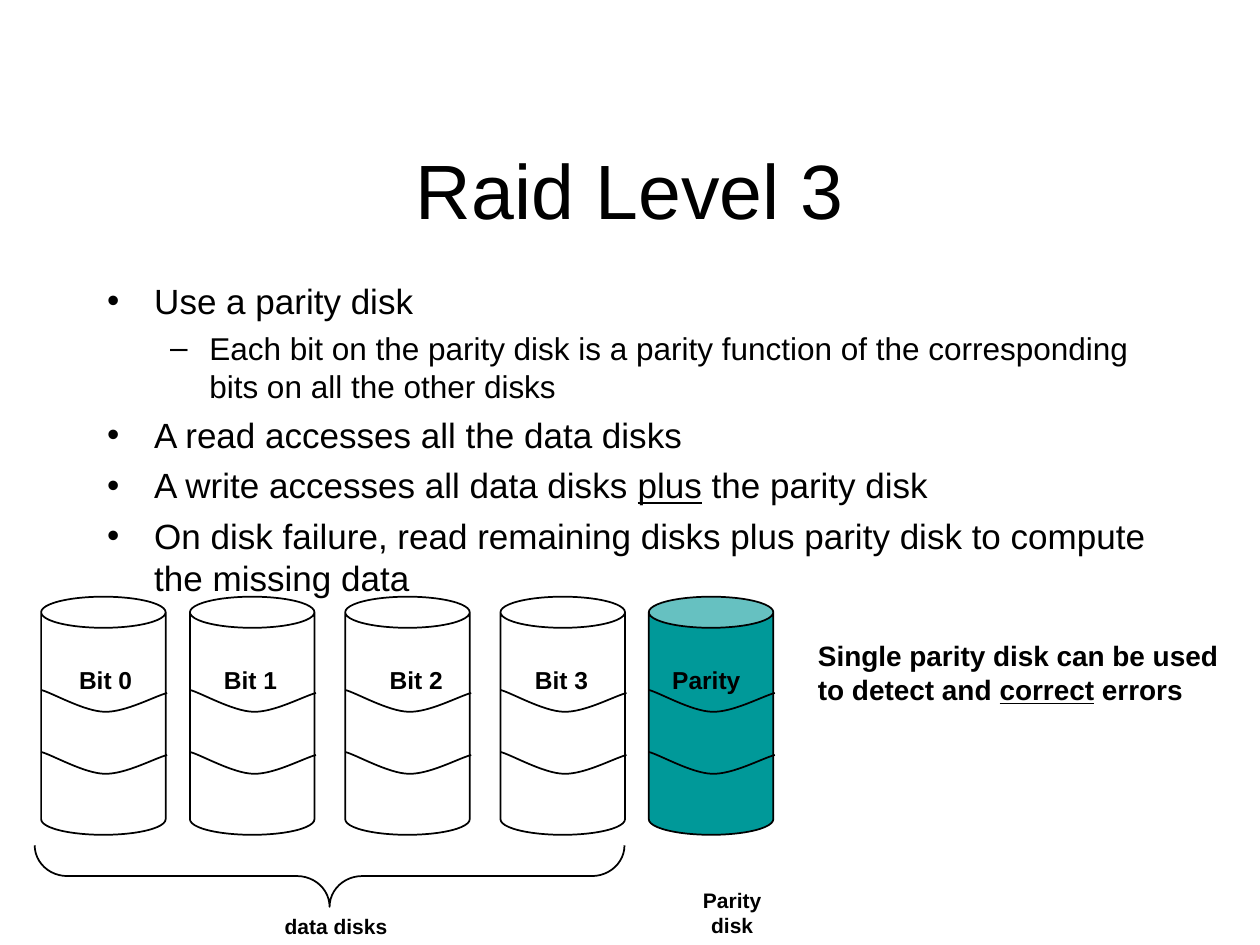
from lxml import etree
from pptx import Presentation
from pptx.dml.color import RGBColor
from pptx.enum.shapes import MSO_SHAPE
from pptx.enum.text import MSO_ANCHOR, MSO_AUTO_SIZE, PP_ALIGN
from pptx.oxml.ns import qn
from pptx.util import Cm, Pt

BLACK = RGBColor(0, 0, 0)
TEAL = RGBColor(0, 0x99, 0x99)
CAN, BRACE = MSO_SHAPE.CAN, MSO_SHAPE.LEFT_BRACE
LEFT, MID = PP_ALIGN.LEFT, PP_ALIGN.CENTER
TOP, LOW = MSO_ANCHOR.TOP, MSO_ANCHOR.BOTTOM
GROW, FIXED = MSO_AUTO_SIZE.SHAPE_TO_FIT_TEXT, MSO_AUTO_SIZE.NONE

LEVELS = [
    {"mark": "•", "size": 20, "gap": 5, "left": 0.95, "hang": 0.95},
    {"mark": "–", "size": 18, "gap": 4.5, "left": 2.06, "hang": 0.79},
]
POINTS = [
    (0, ["Use a parity disk"]),
    (1, ["Each bit on the parity disk is a parity function of the "
         "corresponding bits on all the other disks"]),
    (0, ["A read accesses all the data disks"]),
    (0, ["A write accesses all data disks ", "plus", " the parity disk"]),
    (0, ["On disk failure, read remaining disks plus parity disk to compute "
         "the missing data"]),
]
DISKS = [
    ("Bit 0", 0.83, 1.3, None),
    ("Bit 1", 3.83, 1.22, None),
    ("Bit 2", 6.96, 1.43, None),
    ("Bit 3", 10.09, 1.23, None),
    ("Parity", 13.08, 1.16, TEAL),
]
WAVE = [(0, 0), (0.21, 0.05), (0.86, 0.43), (1.28, 0.44),
        (1.7, 0.45), (2.28, 0.13), (2.54, 0.06)]


def add_runs(para, parts, size, bold=False):
    """Write the parts as runs, underlining every second one."""
    for i, part in enumerate(parts):
        run = para.add_run()
        run.text = part
        form = {"name": "Arial", "size": Pt(size), "bold": bold,
                "underline": i % 2 == 1}
        for key, value in form.items():
            setattr(run.font, key, value)
        run.font.color.rgb = BLACK


def add_text(slide, box, lines, size, bold=False, align=MID, anchor=TOP, wrap=False):
    """Add a text box with one paragraph for each line of parts."""
    frame = slide.shapes.add_textbox(*map(Cm, box)).text_frame
    form = {"word_wrap": wrap, "vertical_anchor": anchor,
            "auto_size": FIXED if wrap else GROW}
    for key, value in form.items():
        setattr(frame, key, value)
    for i, parts in enumerate(lines):
        para = frame.add_paragraph() if i else frame.paragraphs[0]
        para.alignment = align
        add_runs(para, parts, size, bold)


def add_points(slide, box):
    """Add the bulleted list in the box."""
    frame = slide.shapes.add_textbox(*map(Cm, box)).text_frame
    frame.word_wrap = True
    for i, (depth, parts) in enumerate(POINTS):
        para = frame.add_paragraph() if i else frame.paragraphs[0]
        form = LEVELS[depth]
        props = para._p.get_or_add_pPr()
        props.set("marL", str(Cm(form["left"])))
        props.set("indent", str(-Cm(form["hang"])))
        etree.SubElement(props, qn("a:buFont")).set("typeface", "Arial")
        etree.SubElement(props, qn("a:buChar")).set("char", form["mark"])
        para.level = depth
        if i:
            para.space_before = Pt(form["gap"])
        add_runs(para, parts, form["size"])


def style(shape, fill=None):
    """Give the shape a thin black outline and an optional fill."""
    shape.shadow.inherit = False
    shape.line.color.rgb = BLACK
    shape.line.width = Pt(1)
    if fill is None:
        shape.fill.background()
    else:
        shape.fill.solid()
        shape.fill.fore_color.rgb = fill


def bend(shape):
    """Turn each three line segments of a freeform into one cubic curve."""
    lines = list(shape._element.iter(qn("a:lnTo")))
    for i in range(0, len(lines), 3):
        curve = etree.Element(qn("a:cubicBezTo"))
        lines[i].addprevious(curve)
        for line in lines[i:i + 3]:
            curve.append(line[0])
            line.getparent().remove(line)


def add_wave(slide, x, y):
    """Draw a sagging band line from its left end."""
    nodes = [(Cm(x + a), Cm(y + b)) for a, b in WAVE]
    pen = slide.shapes.build_freeform(*nodes[0])
    pen.add_line_segments(nodes[1:], close=False)
    wave = pen.convert_to_shape()
    bend(wave)
    style(wave)


def add_disk(slide, box, name, mid, fill):
    """Add a disk with two bands and a label centred at mid."""
    x, y = box[:2]
    can = slide.shapes.add_shape(CAN, *map(Cm, box))
    can.adjustments[0] = 0.25
    style(can, fill)
    for drop in (1.88, 3.13):
        add_wave(slide, x, y + drop)
    add_text(slide, (x + mid - 0.95, y + 1.25, 1.9, 0.84), [[name]], 14, True)


def add_brace(slide, box):
    """Add a brace that opens upward and fills the box."""
    x, y, wide, high = box
    turned = (x + (wide - high) / 2, y + (high - wide) / 2, high, wide)
    brace = slide.shapes.add_shape(BRACE, *map(Cm, turned))
    brace.rotation = 270
    brace.adjustments[0] = 0.53
    style(brace)


def add_array(slide, box):
    """Add the row of disks with its brace and captions."""
    x, y, wide, high = box
    for name, left, mid, fill in DISKS:
        add_disk(slide, (x + left, y, 2.51, high), name, mid, fill)
    add_brace(slide, (x + 0.7, y + 5.01, 11.89, 1.24))
    add_text(slide, (x + 5.49, y + 6.26, 2.57, 0.76), [["data disks"]], 12, True)
    add_text(slide, (x + 13.44, y + 5.73, 2.64, 0.76), [["Parity disk"]], 12, True)
    note = [["Single parity disk can be used"], ["to detect and ", "correct", " errors"]]
    add_text(slide, (x + 16.24, y + 0.72, wide - 16.81, 1.6), note, 16, True, LEFT)


def main():
    """Build the slide and save it."""
    deck = Presentation()
    deck.slide_width, deck.slide_height = Cm(25.4), Cm(19.05)
    slide = deck.slides.add_slide(deck.slide_layouts[6])
    add_text(slide, (1.91, 1.69, 21.59, 3.17), [["Raid Level 3"]], 44, anchor=LOW, wrap=True)
    add_points(slide, (1.91, 5.5, 21.59, 11.43))
    add_array(slide, (0, 12.03, 25.4, 4.8))
    deck.save("out.pptx")


if __name__ == "__main__":
    main()
